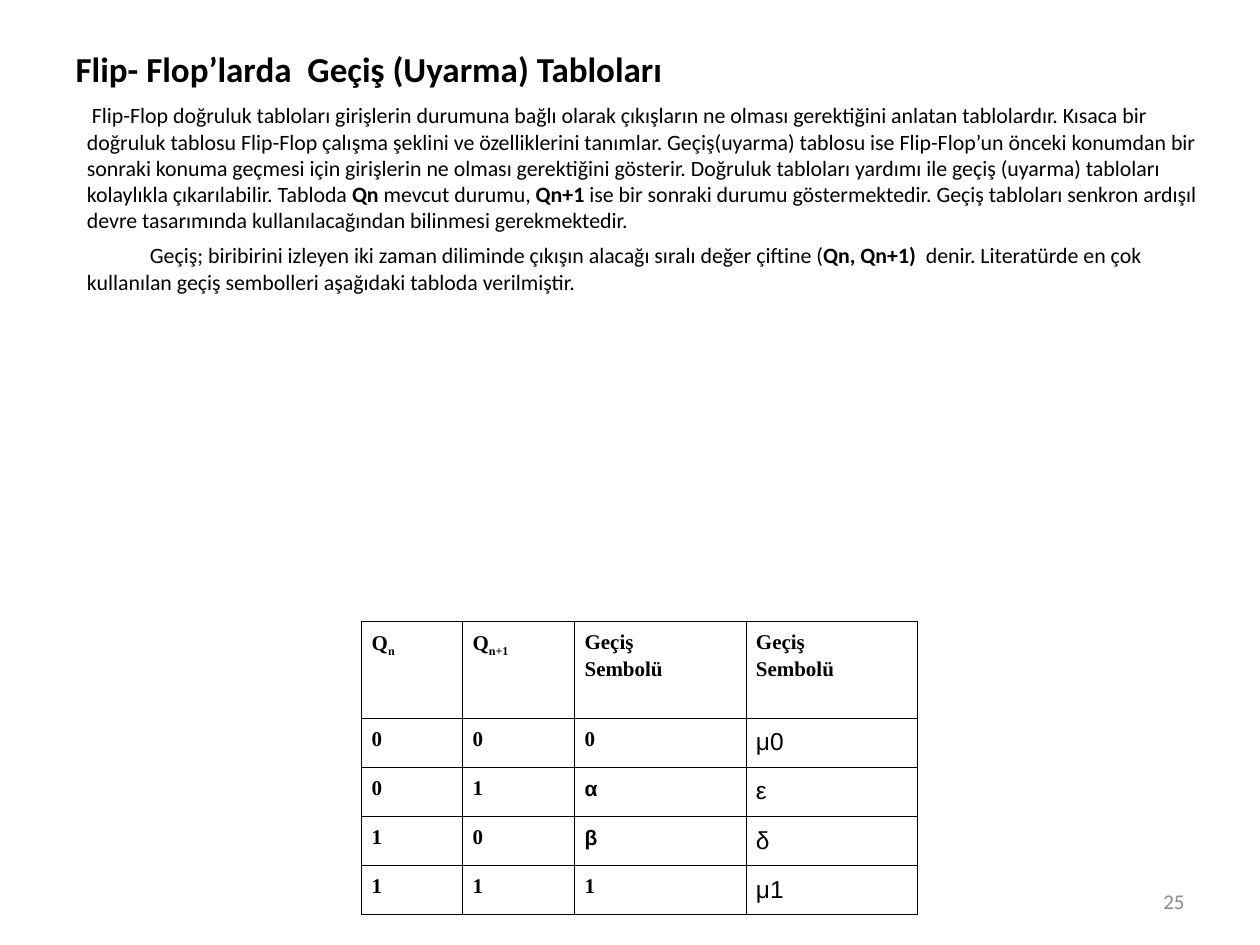
from lxml import etree
from pptx import Presentation
from pptx.dml.color import RGBColor
from pptx.enum.text import MSO_ANCHOR, MSO_AUTO_SIZE, PP_ALIGN
from pptx.oxml.ns import qn
from pptx.util import Inches, Pt

COLORS = {"ink": "000000", "page_number": "898989"}

TITLE = "Flip- Flop’larda  Geçiş (Uyarma) Tabloları"
# Each paragraph is a list of (text, bold) runs.
EXPLANATION = [
    [
        (" ", True),
        ("Flip-Flop doğruluk tabloları girişlerin durumuna bağlı olarak çıkışların ne olması "
         "gerektiğini anlatan tablolardır. Kısaca bir doğruluk tablosu Flip-Flop çalışma şeklini "
         "ve özelliklerini tanımlar. Geçiş(uyarma) tablosu ise Flip-Flop’un önceki konumdan bir "
         "sonraki konuma geçmesi için girişlerin ne olması gerektiğini gösterir. Doğruluk "
         "tabloları yardımı ile geçiş (uyarma) tabloları kolaylıkla çıkarılabilir. Tabloda ", False),
        ("Qn", True),
        (" mevcut durumu, ", False),
        ("Qn+1", True),
        (" ise bir sonraki durumu göstermektedir. Geçiş tabloları senkron ardışıl devre "
         "tasarımında kullanılacağından bilinmesi gerekmektedir.", False),
    ],
    [
        ("\tGeçiş; biribirini izleyen iki zaman diliminde çıkışın alacağı sıralı değer çiftine (", False),
        ("Qn, Qn+1)  ", True),
        ("denir. Literatürde en çok kullanılan geçiş sembolleri aşağıdaki tabloda verilmiştir.", False),
    ],
]
# A header is a list of paragraphs, each a (text, subscript) pair.
HEADERS = [
    [("Q", "n")],
    [("Q", "n+1")],
    [("Geçiş", ""), ("Sembolü", "")],
    [("Geçiş", ""), ("Sembolü", "")],
]
TRANSITIONS = [
    ("0", "0", "0", "μ0"),
    ("0", "1", "α", "ε"),
    ("1", "0", "β", "δ"),
    ("1", "1", "1", "μ1"),
]
PAGE_NUMBER = "25"

COLUMN_WIDTHS = [0.8, 0.89, 1.36, 1.36]
ROW_HEIGHTS = [0.77] + [0.39] * len(TRANSITIONS)

TITLE_FONT = {"name": "Calibri", "size": Pt(20), "bold": True}
BODY_FONT = {"name": "Calibri", "size": Pt(12.5)}
CELL_FONT = {"name": "Times New Roman", "size": Pt(12), "bold": True}
GREEK_FONT = {**CELL_FONT, "name": "Arial"}
SYMBOL_FONT = {"name": "Arial", "size": Pt(14), "bold": False}
PAGE_FONT = {"name": "Calibri", "size": Pt(12)}
CELL_MARGINS = {
    "margin_left": Inches(0.08), "margin_right": Inches(0.08),
    "margin_top": Inches(0.05), "margin_bottom": Inches(0.05),
}


def set_all(target, values):
    for name, value in values.items():
        setattr(target, name, value)


def add_run(paragraph, text, font, color="ink"):
    run = paragraph.add_run()
    run.text = text
    set_all(run.font, font)
    run.font.color.rgb = RGBColor.from_string(COLORS[color])
    return run


def place(shape, left, top, width, height, anchor):
    set_all(shape, {"left": Inches(left), "top": Inches(top),
                    "width": Inches(width), "height": Inches(height)})
    set_all(shape.text_frame, {"word_wrap": True, "auto_size": MSO_AUTO_SIZE.NONE,
                               "vertical_anchor": anchor})
    return shape.text_frame


def paragraph_at(frame, index):
    return frame.add_paragraph() if index else frame.paragraphs[0]


def remove_bullet(paragraph):
    """Clear bullet and indent, and put one tab stop an inch in."""
    properties = paragraph._p.get_or_add_pPr()
    properties.set("marL", "0")
    properties.set("indent", "0")
    etree.SubElement(properties, qn("a:buNone"))
    tabs = etree.SubElement(properties, qn("a:tabLst"))
    etree.SubElement(tabs, qn("a:tab"), pos=str(Inches(1)), algn="l")


def draw_borders(cell):
    properties = cell._tc.get_or_add_tcPr()
    for index, side in enumerate(("a:lnL", "a:lnR", "a:lnT", "a:lnB")):
        line = etree.Element(qn(side), w=str(Pt(0.45)))
        fill = etree.SubElement(line, qn("a:solidFill"))
        etree.SubElement(fill, qn("a:srgbClr"), val=COLORS["ink"])
        properties.insert(index, line)


def fill_cell(cell, paragraphs, font):
    set_all(cell, CELL_MARGINS)
    cell.fill.background()
    draw_borders(cell)
    for index, (text, subscript) in enumerate(paragraphs):
        paragraph = paragraph_at(cell.text_frame, index)
        set_all(paragraph, {"alignment": PP_ALIGN.JUSTIFY, "line_spacing": 1.15})
        add_run(paragraph, text, font)
        if subscript:
            run = add_run(paragraph, subscript, font)
            run._r.get_or_add_rPr().set("baseline", "-25000")


def value_font(column, value):
    if column == len(COLUMN_WIDTHS) - 1:
        return SYMBOL_FONT
    return CELL_FONT if value.isdigit() else GREEK_FONT


def add_transition_table(slide):
    table = slide.shapes.add_table(
        len(ROW_HEIGHTS), len(COLUMN_WIDTHS), Inches(2.87), Inches(4.93),
        Inches(sum(COLUMN_WIDTHS)), Inches(sum(ROW_HEIGHTS))).table
    set_all(table, {"first_row": False, "horz_banding": False})
    for column, width in zip(table.columns, COLUMN_WIDTHS):
        column.width = Inches(width)
    for row, height in zip(table.rows, ROW_HEIGHTS):
        row.height = Inches(height)
    for column, header in enumerate(HEADERS):
        fill_cell(table.cell(0, column), header, CELL_FONT)
    for row, values in enumerate(TRANSITIONS, start=1):
        for column, value in enumerate(values):
            fill_cell(table.cell(row, column), [(value, "")], value_font(column, value))


def main():
    presentation = Presentation()
    set_all(presentation, {"slide_width": Inches(10), "slide_height": Inches(7.5)})
    slide = presentation.slides.add_slide(presentation.slide_layouts[1])

    title = place(slide.shapes.title, 0.5, 0.3, 8.99, 0.46, MSO_ANCHOR.BOTTOM)
    title.paragraphs[0].alignment = PP_ALIGN.LEFT
    add_run(title.paragraphs[0], TITLE, TITLE_FONT)

    explanation = place(slide.placeholders[1], 0.59, 0.76, 9.22, 1.81, MSO_ANCHOR.TOP)
    for index, runs in enumerate(EXPLANATION):
        paragraph = paragraph_at(explanation, index)
        paragraph.space_before = Pt(5 if index else 0)
        remove_bullet(paragraph)
        for text, bold in runs:
            add_run(paragraph, text, {**BODY_FONT, "bold": bold})

    add_transition_table(slide)

    number_box = slide.shapes.add_textbox(0, 0, 0, 0)
    number = place(number_box, 7.17, 6.95, 2.33, 0.4, MSO_ANCHOR.MIDDLE)
    number.paragraphs[0].alignment = PP_ALIGN.RIGHT
    add_run(number.paragraphs[0], PAGE_NUMBER, PAGE_FONT, "page_number")

    presentation.save("out.pptx")


if __name__ == "__main__":
    main()
